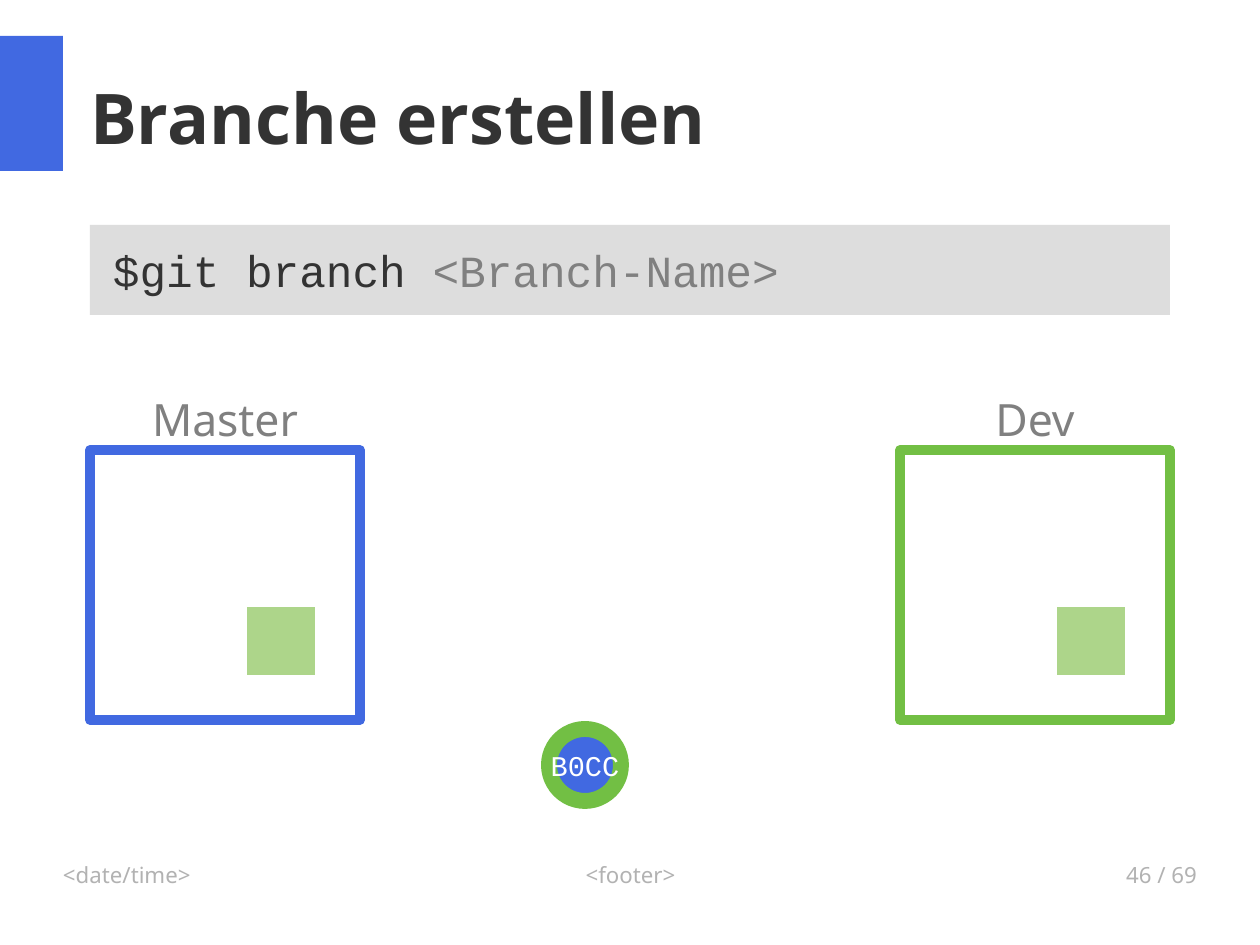
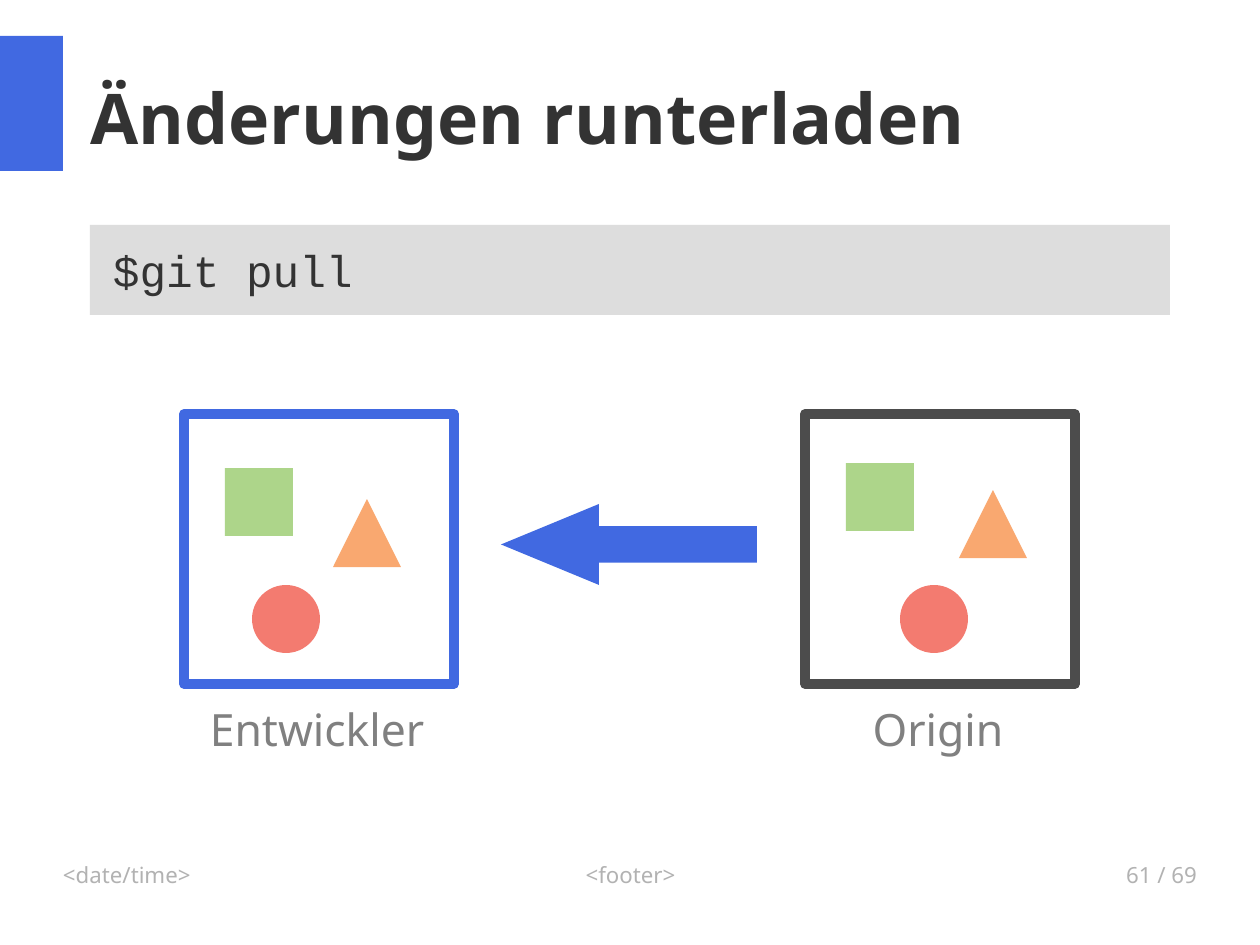
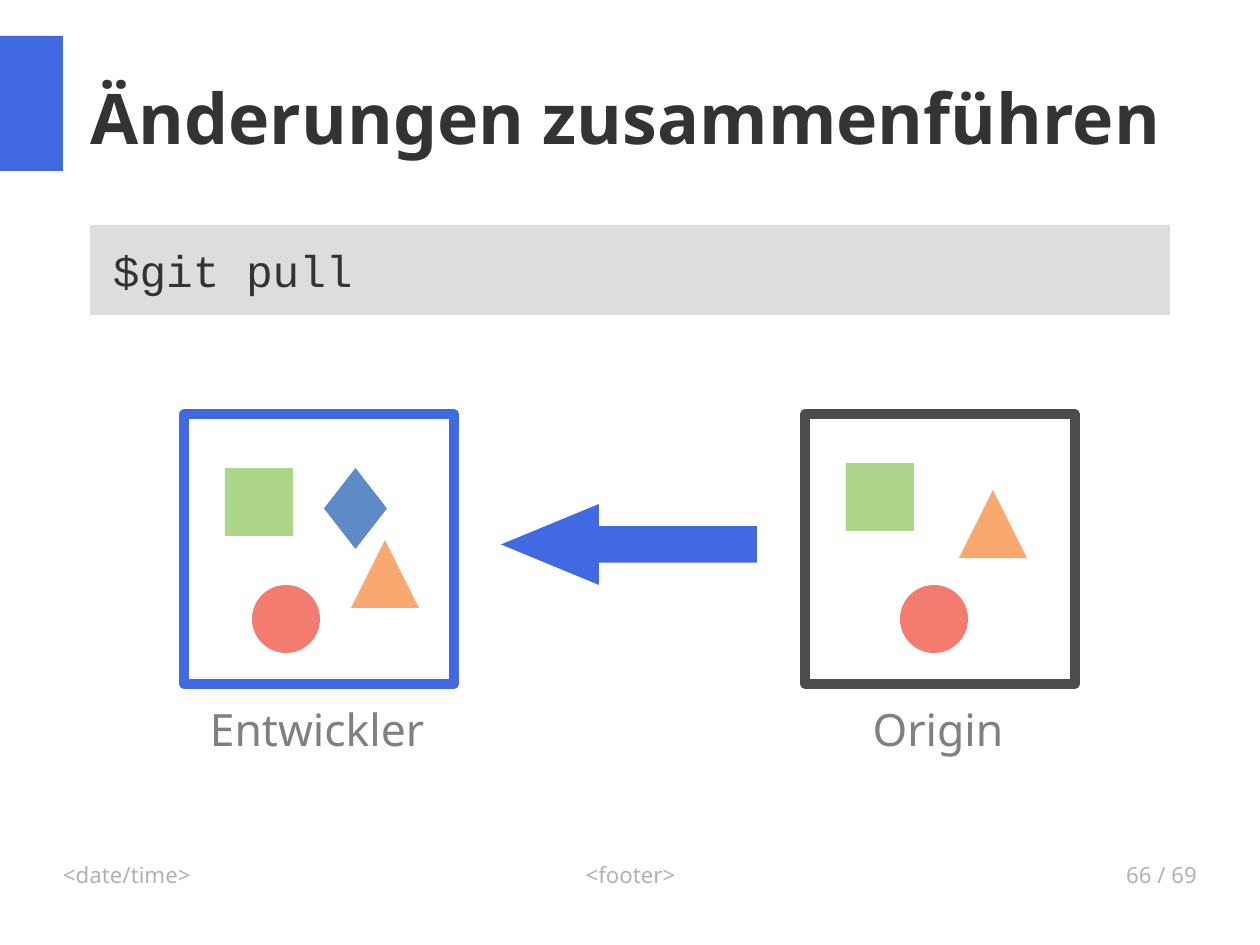
from dataclasses import dataclass

from lxml.etree import SubElement
from pptx import Presentation
from pptx.dml.color import RGBColor
from pptx.enum.shapes import MSO_SHAPE as SHAPE
from pptx.enum.text import MSO_ANCHOR as ANCHOR, MSO_AUTO_SIZE as AUTO, PP_ALIGN as ALIGN
from pptx.oxml.ns import qn
from pptx.util import Emu, Pt

PX = 8000


@dataclass(frozen=True)
class Theme:
    sans: str = "Noto Sans"
    mono: str = "Courier New"
    title_size: int = 44
    body_size: int = 28
    commit_size: int = 18
    footer_size: int = 14
    frame_width: int = 6
    ring_width: int = 10
    blue: str = "4169E1"
    green: str = "72BF44"
    dark: str = "333333"
    gray: str = "808080"
    footer: str = "B2B2B2"
    panel: str = "DDDDDD"
    origin: str = "4C4C4C"
    white: str = "FFFFFF"
    square: str = "ADD58A"
    circle: str = "F37B70"
    triangle: str = "F9A870"
    diamond: str = "5E8AC7"


T = Theme()


def draw(kind, box, fill=None, line=None, width=T.frame_width):
    sp = slide.shapes.add_shape(kind, *[Emu(v * PX) for v in box])
    sp.shadow.inherit = False
    if fill:
        sp.fill.solid()
        sp.fill.fore_color.rgb = RGBColor.from_string(fill)
    else:
        sp.fill.background()
    if line:
        sp.line.color.rgb = RGBColor.from_string(line)
        sp.line.width = Pt(width)
        SubElement(sp.line._get_or_add_ln(), qn("a:round"))
    else:
        sp.line.fill.background()
    return sp


def write(sp, text, size, color, font=T.sans, align=ALIGN.LEFT, anchor=ANCHOR.MIDDLE,
          left=0, wrap=True, bold=False):
    tf = sp.text_frame
    tf.auto_size = AUTO.NONE
    tf.word_wrap = wrap
    tf.vertical_anchor = anchor
    tf.margin_left = Emu(left * PX)
    tf.margin_top = tf.margin_right = tf.margin_bottom = 0
    p = tf.paragraphs[0]
    p.alignment = align
    p.font.name = font
    p.font.size = Pt(size)
    p.font.bold = bold
    p.font.color.rgb = RGBColor.from_string(color)
    p.add_run().text = text
    return p


prs = Presentation()
prs.slide_width, prs.slide_height = Emu(1260 * PX), Emu(945 * PX)

SQUARE = (SHAPE.RECTANGLE, 68, 68, T.square)
CIRCLE = (SHAPE.OVAL, 68, 68, T.circle)
TRIANGLE = (SHAPE.ISOSCELES_TRIANGLE, 68, 68, T.triangle)
DIAMOND = (SHAPE.DIAMOND, 63, 81, T.diamond)
FRAME = 270

branch_frames = [(90, 450, T.blue), (900, 450, T.green)]
branch_labels = [("Master", 90, 378, 270, 67), ("Dev", 900, 378, 270, 67)]
pull_frames = [(184, 414, T.blue), (805, 414, T.origin)]
pull_labels = [("Entwickler", 180, 684, 274, 90), ("Origin", 801, 684, 274, 90)]
pull_files = [(SQUARE, 225, 468), (CIRCLE, 252, 585),
              (SQUARE, 846, 463), (CIRCLE, 900, 585), (TRIANGLE, 959, 490)]

pages = [
    (46, "Branche erstellen", "$git branch ", "<Branch-Name>",
     branch_frames, branch_labels, ANCHOR.BOTTOM,
     [(SQUARE, 247, 607), (SQUARE, 1057, 607)]),
    (61, "Änderungen runterladen", "$git pull", "",
     pull_frames, pull_labels, ANCHOR.MIDDLE,
     pull_files + [(TRIANGLE, 333, 499)]),
    (66, "Änderungen zusammenführen", "$git pull", "",
     pull_frames, pull_labels, ANCHOR.MIDDLE,
     pull_files + [(DIAMOND, 324, 468), (TRIANGLE, 351, 540)]),
]

for number, title, command, argument, frames, labels, anchor, files in pages:
    slide = prs.slides.add_slide(prs.slide_layouts[5])

    draw(SHAPE.RECTANGLE, (0, 36, 63, 135), T.blue)
    for text, x, w, align in [("<date/time>", 63, 294, ALIGN.LEFT),
                              ("<footer>", 431, 399, ALIGN.CENTER),
                              (f"{number} / 69", 903, 294, ALIGN.RIGHT)]:
        sp = slide.shapes.add_textbox(*[Emu(v * PX) for v in (x, 861, w, 65)])
        write(sp, text, T.footer_size, T.footer, align=align, anchor=ANCHOR.TOP)

    sp = slide.shapes.title
    sp.left, sp.top, sp.width, sp.height = [Emu(v * PX) for v in (90, 38, 1106, 158)]
    write(sp, title, T.title_size, T.dark, bold=True)

    sp = draw(SHAPE.RECTANGLE, (90, 225, 1080, 90), T.panel)
    p = write(sp, command, T.body_size, T.dark, T.mono, left=23)
    if argument:
        r = p.add_run()
        r.text = argument
        r.font.color.rgb = RGBColor.from_string(T.gray)

    for x, y, color in frames:
        draw(SHAPE.RECTANGLE, (x, y, FRAME, FRAME), line=color)
    for text, *box in labels:
        sp = slide.shapes.add_textbox(*[Emu(v * PX) for v in box])
        write(sp, text, T.body_size, T.gray, align=ALIGN.CENTER, anchor=anchor)
    for (kind, w, h, color), x, y in files:
        draw(kind, (x, y, w, h), color)

    if frames is branch_frames:
        sp = draw(SHAPE.OVAL, (549, 729, 72, 72), T.blue, T.green, T.ring_width)
        write(sp, "B0CC", T.commit_size, T.white, T.mono, ALIGN.CENTER, wrap=False)
    else:
        sp = draw(SHAPE.LEFT_ARROW, (501, 504, 256, 81), T.blue)
        sp.adjustments[0], sp.adjustments[1] = 0.45, 1.21

prs.save("out.pptx")
